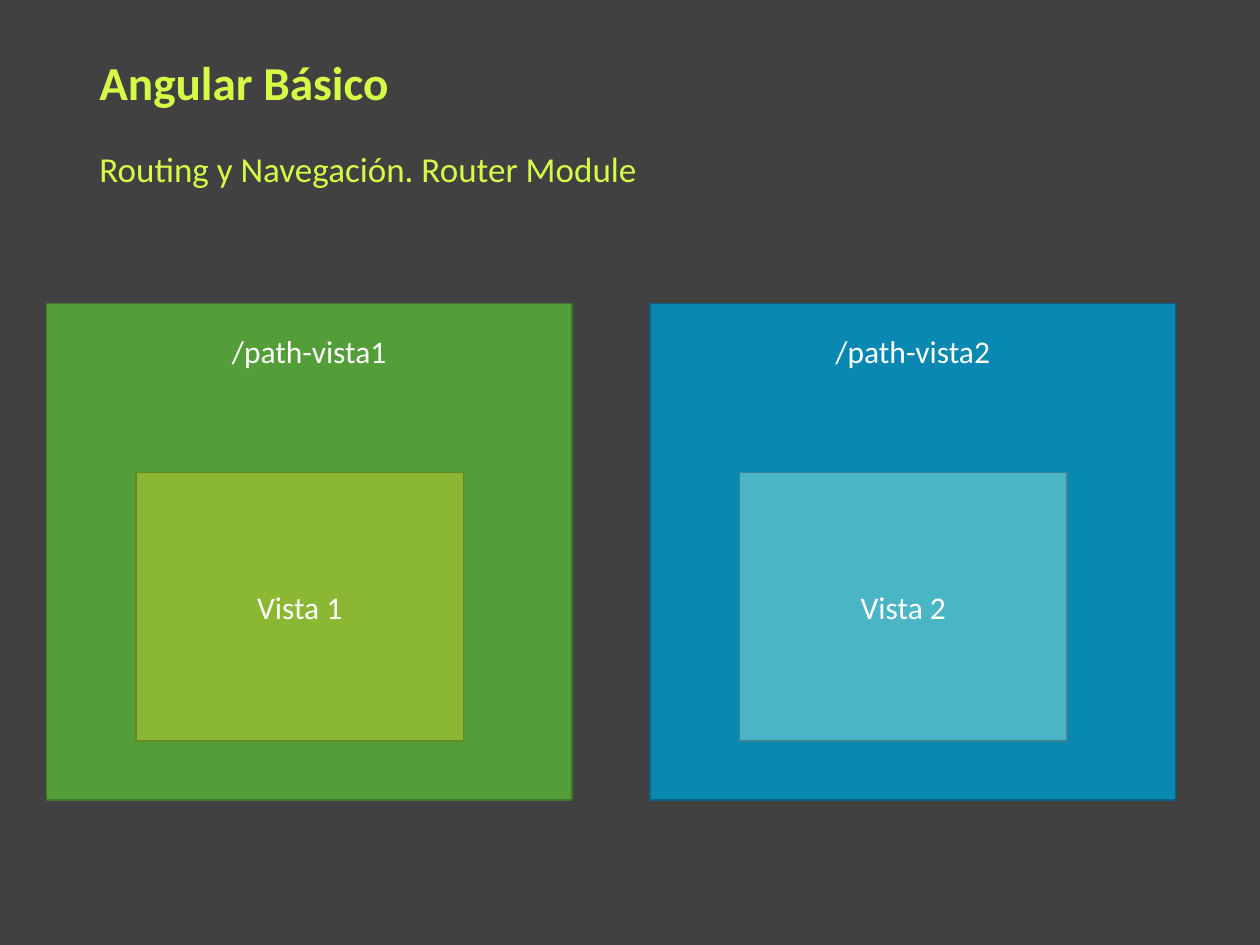
from pptx import Presentation
from pptx.dml.color import RGBColor
from pptx.enum.shapes import MSO_SHAPE
from pptx.enum.text import MSO_ANCHOR, PP_ALIGN
from pptx.util import Pt

RECT = MSO_SHAPE.RECTANGLE
MIDDLE = MSO_ANCHOR.MIDDLE
LEFT, CENTER = PP_ALIGN.LEFT, PP_ALIGN.CENTER

COLORS = {
    "background": "414141", "heading": "D6FB47", "text": "FFFFFF",
    "green": "549E39", "green_line": "3E752A",
    "lime": "8AB833", "lime_line": "668826",
    "blue": "0989B1", "blue_line": "076583",
    "aqua": "4AB5C4", "aqua_line": "378691",
}
ROUTES = [("green", "lime"), ("blue", "aqua")]
ROUTE_LEFT, ROUTE_STEP = 26.6, 344.9


def color(name):
    return RGBColor.from_string(COLORS[name])


class SlideBuilder:
    """Holds the text style and the slide being filled."""

    font = "Calibri"

    def __init__(self, slide):
        self.slide = slide
        fill = slide.background.fill
        fill.solid()
        fill.fore_color.rgb = color("background")

    def set_text(self, shape, text, size, text_color, align, bold=False, **spacing):
        tf = shape.text_frame
        tf.word_wrap = True
        tf.vertical_anchor = MIDDLE
        p = tf.paragraphs[0]
        for name, value in {"alignment": align, **spacing}.items():
            setattr(p, name, value)
        r = p.add_run()
        r.text = text
        style = {"name": self.font, "size": Pt(size), "bold": bold}
        for name, value in style.items():
            setattr(r.font, name, value)
        r.font.color.rgb = color(text_color)

    def heading(self, box, text, size, **style):
        sp = self.slide.shapes.add_textbox(*map(Pt, box))
        self.set_text(sp, text, size, "heading", LEFT, line_spacing=0.9, **style)

    def label(self, group, box, text):
        sp = group.shapes.add_textbox(*map(Pt, box))
        self.set_text(sp, text, 18, "text", CENTER)

    def block(self, group, box, fill, text=None):
        sp = group.shapes.add_shape(RECT, *map(Pt, box))
        sp.shadow.inherit = False
        sp.fill.solid()
        sp.fill.fore_color.rgb = color(fill)
        sp.line.color.rgb = color(fill + "_line")
        sp.line.width = Pt(1)
        if text:
            self.set_text(sp, text, 18, "text", CENTER)

    def route(self, number, left, outer, inner):
        """Draws a path block with the view it shows nested inside."""
        group = self.slide.shapes.add_group_shape()
        self.block(group, (left, 173.5, 300.2, 283.7), outer)
        self.block(group, (left + 51.1, 270, 187.2, 153.4), inner, f"Vista {number}")
        self.label(group, (left, 183.6, 300.2, 33.8), f"/path-vista{number}")


def main():
    prs = Presentation()
    prs.slide_width, prs.slide_height = Pt(720), Pt(540)
    s = SlideBuilder(prs.slides.add_slide(prs.slide_layouts[6]))
    s.heading((49.7, 28.8, 565.9, 40.3), "Angular Básico", 27, bold=True)
    s.heading((49.7, 78.5, 565.9, 38.2), "Routing y Navegación. Router Module", 20,
              space_before=Pt(7.5))
    for i, (outer, inner) in enumerate(ROUTES):
        s.route(i + 1, ROUTE_LEFT + i * ROUTE_STEP, outer, inner)
    prs.save("out.pptx")


if __name__ == "__main__":
    main()
